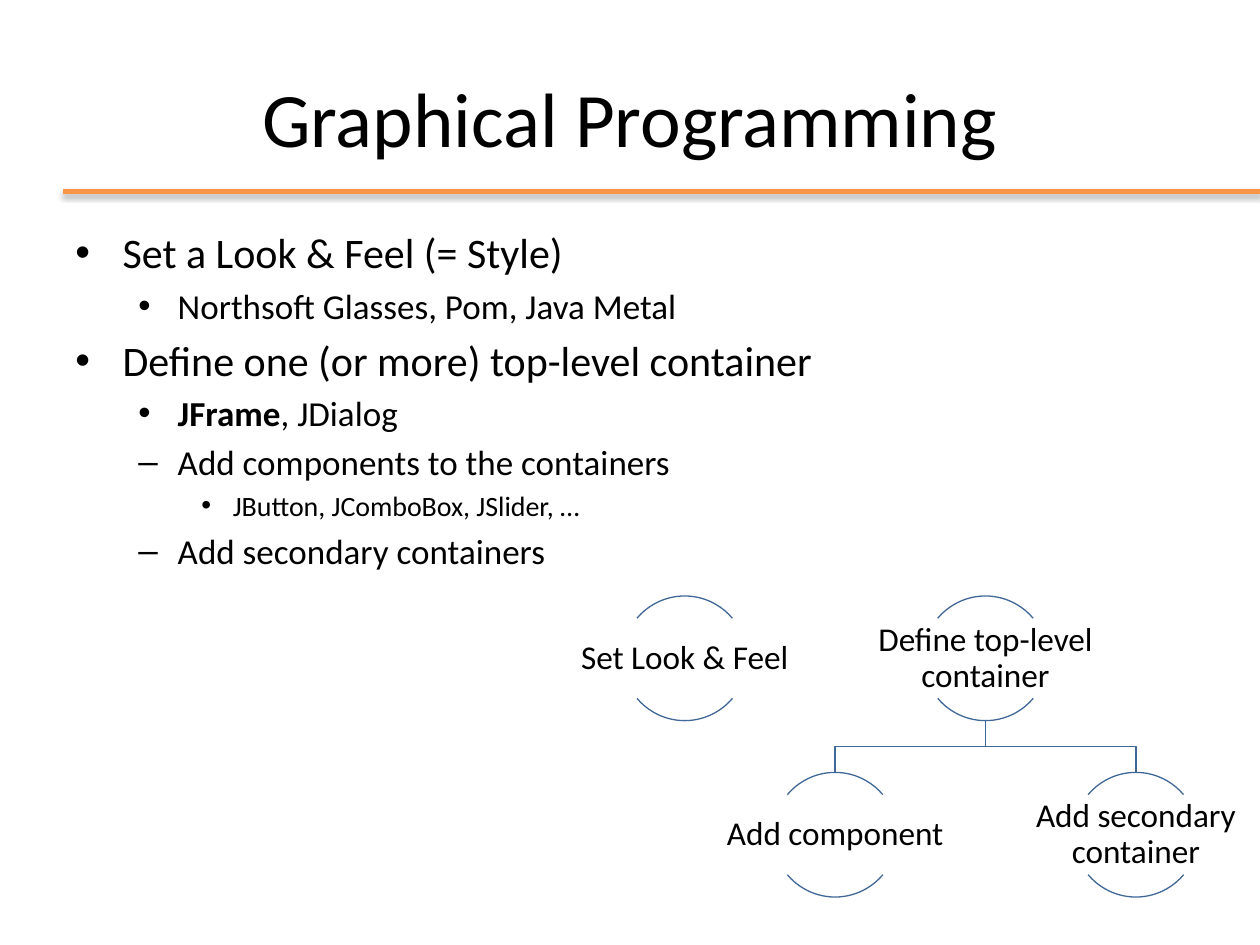
from lxml.etree import SubElement
from pptx import Presentation
from pptx.dml.color import RGBColor
from pptx.enum.shapes import MSO_CONNECTOR, MSO_SHAPE
from pptx.enum.text import MSO_ANCHOR, PP_ALIGN
from pptx.oxml.ns import qn
from pptx.util import Pt

BLACK, ORANGE, BLUE = "000000", "F79646", "3F6797"
LEVELS = [(24, 27, 27), (20, 58.5, 22.5), (16, 90, 18)]
BULLETS = [
    (0, "•", [("Set a Look & Feel (= Style)", False)]),
    (1, "•", [("Northsoft Glasses, Pom, Java Metal", False)]),
    (0, "•", [("Define one (or more) top-level container", False)]),
    (1, "•", [("JFrame", True), (", JDialog", False)]),
    (1, "–", [("Add components to the containers", False)]),
    (2, "•", [("JButton, JComboBox, JSlider, …", False)]),
    (1, "–", [("Add secondary containers", False)]),
]
NODES = [
    (0, 0, "Set Look & Feel"),
    (2, 0, "Define top-level container"),
    (1, 1, "Add component"),
    (3, 1, "Add secondary container"),
]
EDGES = [(1, 3), (1, 2)]


def rgb(color):
    """Turn a hex string into a colour."""
    return RGBColor.from_string(color)


def add_run(p, text, size, bold=False, color=BLACK, font="Calibri"):
    """Append a formatted run to a paragraph."""
    r = p.add_run()
    r.text = text
    r.font.size, r.font.bold, r.font.name = Pt(size), bold, font
    r.font.color.rgb = rgb(color)


def add_box(shapes, x, y, w, h, anchor=MSO_ANCHOR.TOP, margins=(7.2, 3.6)):
    """Add a wrapping text box and return its text frame."""
    tf = shapes.add_textbox(Pt(x), Pt(y), Pt(w), Pt(h)).text_frame
    tf.word_wrap, tf.vertical_anchor = True, anchor
    tf.margin_left = tf.margin_right = Pt(margins[0])
    tf.margin_top = tf.margin_bottom = Pt(margins[1])
    return tf


def outline(sp, color=BLUE, width=0.75):
    """Leave a shape with a plain outline only."""
    sp.shadow.inherit = False
    sp.fill.background()
    sp.line.color.rgb, sp.line.width = rgb(color), Pt(width)


def add_rule(s, x, y, w):
    """Draw the shadowed rule under the title."""
    line = s.shapes.add_connector(MSO_CONNECTOR.STRAIGHT, Pt(x), Pt(y), Pt(x + w), Pt(y))
    line.line.color.rgb, line.line.width = rgb(ORANGE), Pt(3)
    effects = SubElement(line._element.spPr, qn("a:effectLst"))
    shadow = SubElement(effects, qn("a:outerShdw"), blurRad=str(Pt(3.1)),
                        dist=str(Pt(1.8)), dir="5400000", rotWithShape="0")
    color = SubElement(shadow, qn("a:srgbClr"), val=BLACK)
    SubElement(color, qn("a:alpha"), val="35000")


def add_title(s, x, y, w, h):
    """Place the centred slide title."""
    p = add_box(s.shapes, x, y, w, h, MSO_ANCHOR.MIDDLE).paragraphs[0]
    p.alignment = PP_ALIGN.CENTER
    add_run(p, "Graphical Programming", 44)


def add_bullets(s, x, y, w, h):
    """Place the bulleted outline."""
    tf = add_box(s.shapes, x, y, w, h)
    for i, (level, bullet, runs) in enumerate(BULLETS):
        p = tf.add_paragraph() if i else tf.paragraphs[0]
        size, margin, hanging = LEVELS[level]
        p.level = level
        pPr = p._p.get_or_add_pPr()
        pPr.set("marL", str(Pt(margin)))
        pPr.set("indent", str(-Pt(hanging)))
        before = SubElement(pPr, qn("a:spcBef"))
        SubElement(before, qn("a:spcPct"), val="20000")
        SubElement(pPr, qn("a:buFont"), typeface="Arial")
        SubElement(pPr, qn("a:buChar"), char=bullet)
        for text, bold in runs:
            add_run(p, text, size, bold)


def add_node(shapes, cx, y, size, w, text):
    """Draw a label between an upper and a lower arc."""
    for start, end in ((132, 192), (24, 84)):
        sp = shapes.add_shape(MSO_SHAPE.ARC, Pt(cx - size / 2), Pt(y), Pt(size), Pt(size))
        sp.adjustments[0], sp.adjustments[1] = start, end
        outline(sp)
    h = 0.64 * size
    tf = add_box(shapes, cx - w / 2, y + (size - h) / 2, w, h, MSO_ANCHOR.MIDDLE, (0.9, 0.9))
    p = tf.paragraphs[0]
    p.alignment, p.line_spacing = PP_ALIGN.CENTER, 0.9
    add_run(p, text, 19)


def add_tree(s, x, y, w, h):
    """Draw the two-level container hierarchy."""
    shapes = s.shapes.add_group_shape().shapes
    size, label_w = 71.2, 141.8
    step, drop = (w - label_w) / 3, h - size
    spots = [(x + label_w / 2 + col * step, y + row * drop) for col, row, _ in NODES]
    for parent, child in EDGES:
        (px, py), (cx, cy) = spots[parent], spots[child]
        top = py + size
        mid = (top + cy) / 2
        path = shapes.build_freeform(Pt(px), Pt(top))
        path.add_line_segments([(Pt(px), Pt(mid)), (Pt(cx), Pt(mid)), (Pt(cx), Pt(cy))],
                               close=False)
        outline(path.convert_to_shape())
    for (cx, cy), (_, _, text) in zip(spots, NODES):
        add_node(shapes, cx, cy, size, label_w, text)


def main():
    """Build and save the slide."""
    prs = Presentation()
    prs.slide_width, prs.slide_height = Pt(720), Pt(540)
    s = prs.slides.add_slide(prs.slide_layouts[6])
    add_rule(s, 36, 109.4, 684)
    add_title(s, 36, 21.6, 648, 90)
    add_bullets(s, 36, 126, 648, 356.4)
    add_tree(s, 320.4, 340.6, 399.6, 172)
    prs.save("out.pptx")


if __name__ == "__main__":
    main()
